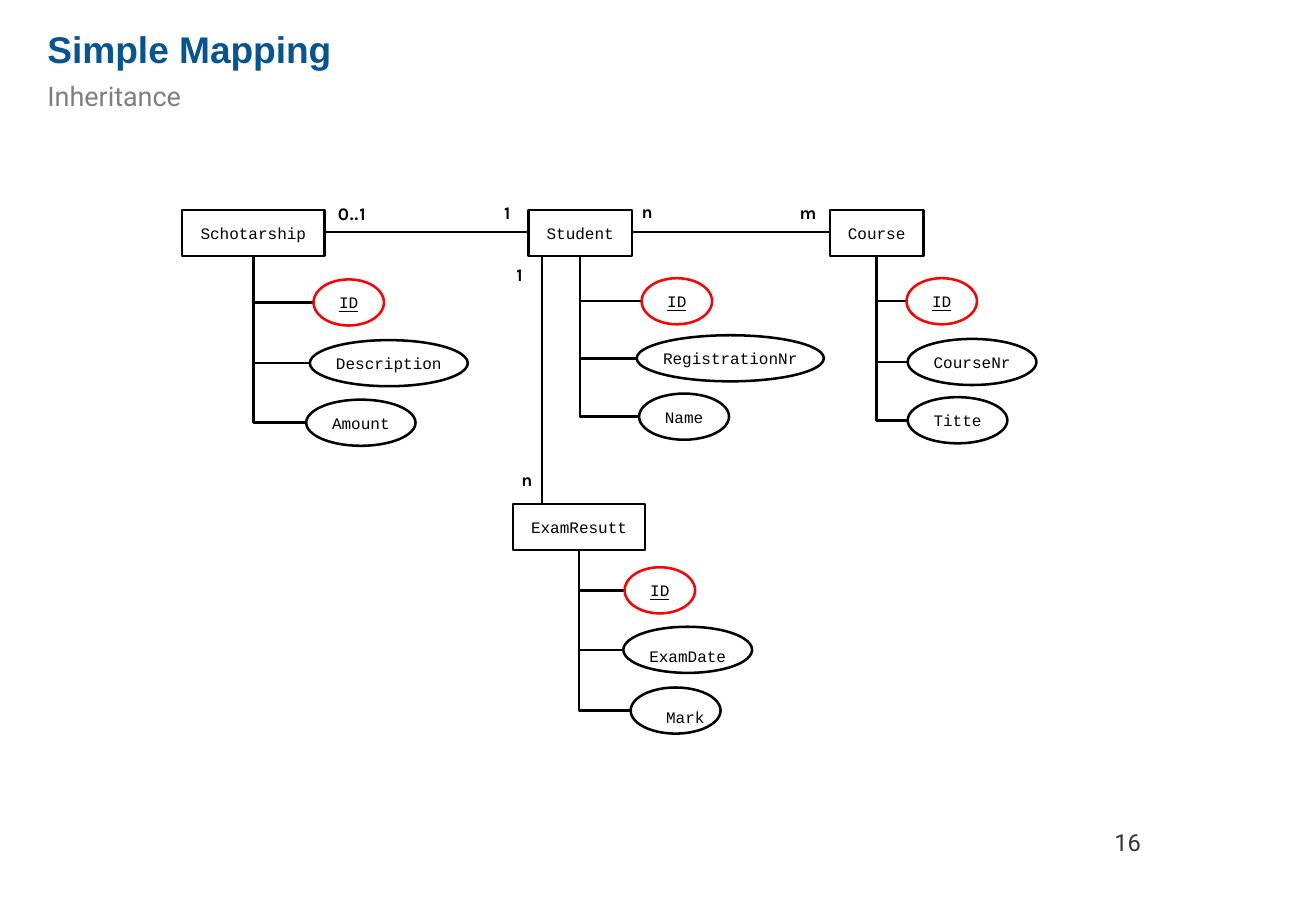
from pptx import Presentation
from pptx.dml.color import RGBColor
from pptx.enum.shapes import MSO_CONNECTOR, MSO_SHAPE
from pptx.enum.text import MSO_ANCHOR, MSO_AUTO_SIZE, PP_ALIGN
from pptx.oxml.ns import qn
from pptx.util import Inches, Pt
from lxml import etree

RECT, OVAL = MSO_SHAPE.RECTANGLE, MSO_SHAPE.OVAL
STRAIGHT = MSO_CONNECTOR.STRAIGHT
LEFT, CENTER = PP_ALIGN.LEFT, PP_ALIGN.CENTER
TOP, MIDDLE = MSO_ANCHOR.TOP, MSO_ANCHOR.MIDDLE
NO_AUTOSIZE = MSO_AUTO_SIZE.NONE

COLORS = {"title": "075590", "subtitle": "7F7F7F", "number": "343434",
          "ink": "000000", "key": "FF0000"}
FORMATS = {
    "title": {"name": "Arial", "size": Pt(22), "bold": True},
    "subtitle": {"name": "Roboto", "size": Pt(16), "bold": False},
    "number": {"name": "Roboto", "size": Pt(14)},
    "node": {"name": "Courier New", "size": Pt(9.5)},
    "key": {"name": "Courier New", "size": Pt(9.5), "underline": True},
    "label": {"name": "Karla", "size": Pt(10.5), "bold": True},
}
BOX_H = 0.38

# Entity: name, left, top, width, attributes
# Attribute: name, left, top, width, text offset x, text offset y
ENTITIES = [
    ("Schotarship", 1.5, 1.73, 1.17, [
        ("ID", 2.58, 2.3, 0.58, 0, 0),
        ("Description", 2.55, 2.8, 1.3, 0, 0),
        ("Amount", 2.52, 3.29, 0.9, 0, 0)]),
    ("Student", 4.35, 1.73, 0.85, [
        ("ID", 5.28, 2.29, 0.58, 0, 0),
        ("RegistrationNr", 5.24, 2.76, 1.54, 0, 0),
        ("Name", 5.26, 3.24, 0.74, 0, 0)]),
    ("Course", 6.83, 1.73, 0.77, [
        ("ID", 7.46, 2.29, 0.58, 0, 0),
        ("CourseNr", 7.47, 2.79, 1.06, 0, 0),
        ("Titte", 7.47, 3.27, 0.82, 0, 0)]),
    ("ExamResutt", 4.22, 4.15, 1.09, [
        ("ID", 5.14, 4.67, 0.58, 0, 0),
        ("ExamDate", 5.13, 5.16, 1.06, 0, 0.05),
        ("Mark", 5.19, 5.66, 0.74, 0.08, 0.05)]),
]
RELATIONS = [(2.67, 1.91, 4.35, 1.91), (5.2, 1.91, 6.83, 1.91),
             (4.46, 2.11, 4.46, 4.15)]
# Cardinality: text, left, top, width, letter spacing in points
CARDINALITIES = [
    ("0..1", 2.78, 1.66, 0.34, 0.6), ("1", 4.15, 1.65, 0.13, 0),
    ("n", 5.28, 1.64, 0.13, 0), ("m", 6.58, 1.65, 0.18, 0),
    ("1", 4.25, 2.16, 0.13, 0), ("n", 4.29, 3.85, 0.13, 0),
]


class Diagram:
    def __init__(self, prs):
        self.s = prs.slides.add_slide(prs.slide_layouts[5])

    def frame(self, tf, insets, anchor, wrap=False):
        values = {"margin_left": Inches(insets[0]), "margin_top": Inches(insets[1]),
                  "margin_right": 0, "margin_bottom": 0, "word_wrap": wrap,
                  "auto_size": NO_AUTOSIZE, "vertical_anchor": anchor}
        for key, value in values.items():
            setattr(tf, key, value)

    def add_run(self, p, text, style, align=LEFT, color=None, spacing=0):
        p.alignment = align
        r = p.add_run()
        r.text = text
        for key, value in FORMATS[style].items():
            setattr(r.font, key, value)
        r.font.color.rgb = RGBColor.from_string(COLORS[color or style])
        if spacing:
            r._r.get_or_add_rPr().set("spc", str(int(spacing * 100)))

    def outline(self, line, color="ink"):
        line.color.rgb = RGBColor.from_string(COLORS[color])
        line.width = Pt(1.5)

    def title(self, text, subtitle, *box):
        sp = self.s.shapes.title
        sp.left, sp.top, sp.width, sp.height = map(Inches, box)
        tf = sp.text_frame
        self.frame(tf, (0, 0.12), TOP, wrap=True)
        self.add_run(tf.paragraphs[0], text, "title")
        p = tf.add_paragraph()
        p.space_before = Pt(5)
        self.add_run(p, subtitle, "subtitle")

    def text(self, text, style, left, top, width, height, color=None, spacing=0):
        sp = self.s.shapes.add_textbox(*map(Inches, (left, top, width, height)))
        self.frame(sp.text_frame, (0, 0.01), TOP)
        self.add_run(sp.text_frame.paragraphs[0], text, style, LEFT, color, spacing)

    def node(self, kind, text, left, top, width, dx=0, dy=0):
        sp = self.s.shapes.add_shape(kind, *map(Inches, (left, top, width, BOX_H)))
        sp.shadow.inherit = False
        sp.fill.background()
        is_key = text == "ID"
        self.outline(sp.line, "key" if is_key else "ink")
        self.frame(sp.text_frame, (2 * dx, 2 * dy), MIDDLE)
        self.add_run(sp.text_frame.paragraphs[0], text,
                     "key" if is_key else "node", CENTER, "ink")

    def branches(self, x, y, ends):
        start = Inches(x), Inches(y)
        builder = self.s.shapes.build_freeform(*start)
        for i, (end_x, end_y) in enumerate(ends):
            if i:
                builder.move_to(*start)
            builder.add_line_segments(
                [(start[0], Inches(end_y)), (Inches(end_x), Inches(end_y))], close=False)
        sp = builder.convert_to_shape()
        sp.shadow.inherit = False
        sp.fill.background()
        self.outline(sp.line)

    def line(self, *ends):
        c = self.s.shapes.add_connector(STRAIGHT, *map(Inches, ends))
        self.outline(c.line)
        etree.SubElement(c._element.spPr, qn("a:effectLst"))


def main():
    prs = Presentation()
    prs.slide_width, prs.slide_height = Inches(10.83), Inches(7.5)
    d = Diagram(prs)

    # Heading and page number
    d.title("Simple Mapping", "Inheritance", 0.39, 0.1, 2.6, 0.83)
    d.text("16", "number", 9.17, 6.81, 0.24, 0.26)

    # Relations and their cardinalities
    for ends in RELATIONS:
        d.line(*ends)
    for text, left, top, width, spacing in CARDINALITIES:
        d.text(text, "label", left, top, width, 0.2, "ink", spacing)

    # Entities with their attributes
    for name, left, top, width, attributes in ENTITIES:
        d.branches(left + width / 2, top + BOX_H,
                   [(a[1], a[2] + BOX_H / 2) for a in attributes])
        d.node(RECT, name, left, top, width)
        for attribute in attributes:
            d.node(OVAL, *attribute)

    prs.save("out.pptx")


if __name__ == "__main__":
    main()
